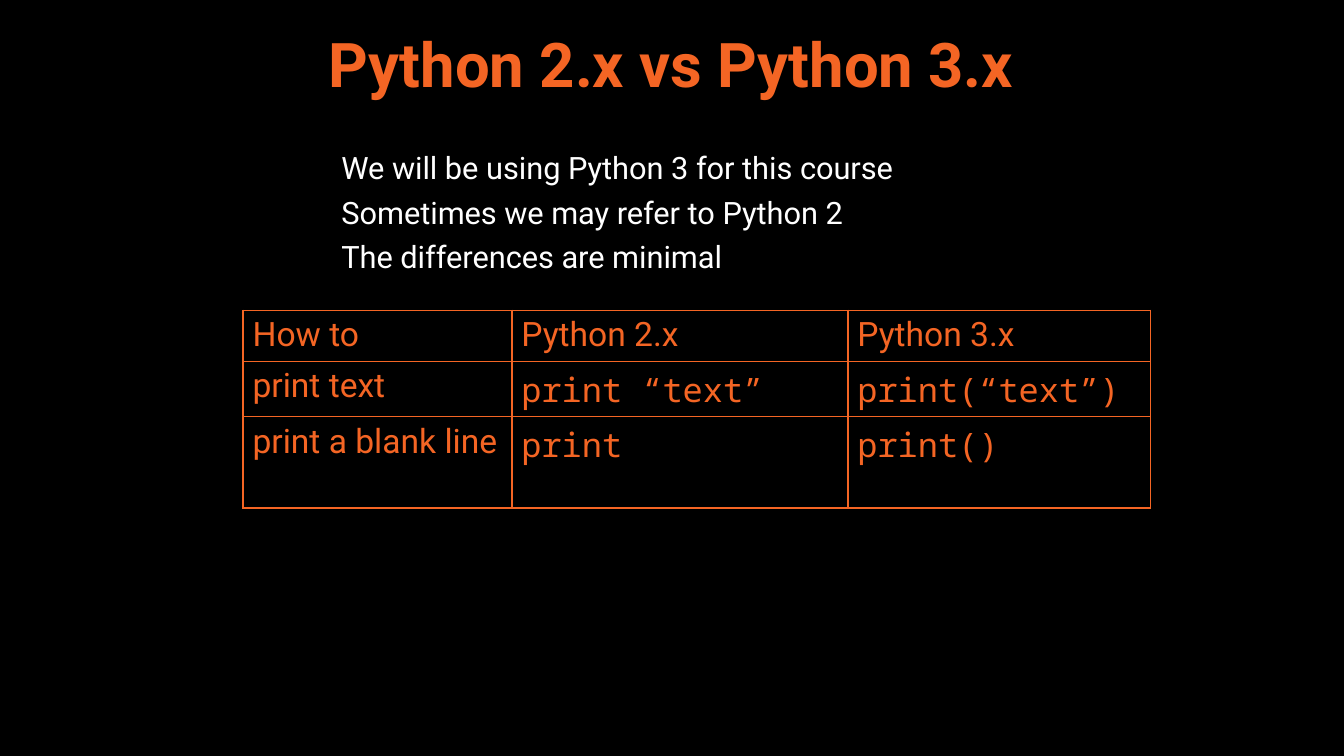
from lxml.etree import SubElement
from pptx import Presentation
from pptx.dml.color import RGBColor
from pptx.enum.text import MSO_ANCHOR as Anchor, PP_ALIGN as Align
from pptx.oxml.ns import qn
from pptx.util import Inches, Pt

ORANGE, WHITE, BLACK = "F46524", "FFFFFF", "000000"
SANS, MONO = "Roboto", "Noto Sans Mono"


def color(value):
    return RGBColor.from_string(value)


def write(frame, text, size=18, font=SANS, fill=ORANGE, bold=False, align=Align.LEFT, gap=0):
    """Fill a text frame with one paragraph per line of text."""
    frame.word_wrap = True
    for index, line in enumerate(text.split("\n")):
        para = frame.add_paragraph() if index else frame.paragraphs[0]
        para.alignment = align
        if index:
            para.space_before = Pt(gap)
        span = para.add_run()
        span.text = line
        span.font.size, span.font.name, span.font.bold = Pt(size), font, bold
        span.font.color.rgb = color(fill)


# Widescreen page, 16:9
deck = Presentation()
deck.slide_width, deck.slide_height = Inches(10), Inches(10 * 9 / 16)
page = deck.slides.add_slide(deck.slide_layouts[6])
page.background.fill.solid()
page.background.fill.fore_color.rgb = color(BLACK)

# Title
title = page.shapes.add_textbox(Inches(1.62), Inches(0), Inches(6.75), Inches(0.94))
title.text_frame.vertical_anchor = Anchor.MIDDLE
write(title.text_frame, "Python 2.x vs Python 3.x", size=33, bold=True, align=Align.CENTER)

# Introductory points
points = page.shapes.add_textbox(Inches(1.5), Inches(1.06), Inches(7.12), Inches(4.06))
points.text_frame.margin_left = Inches(1.04)
write(
    points.text_frame,
    "We will be using Python 3 for this course\n"
    "Sometimes we may refer to Python 2\n"
    "The differences are minimal",
    size=16.5, fill=WHITE, gap=4.1,
)

# Comparison table
rows = [
    ("How to", "Python 2.x", "Python 3.x"),
    ("print text", "print “text”", "print(“text”)"),
    ("print a blank line", "print", "print()"),
]
table = page.shapes.add_table(
    3, 3, Inches(1.81), Inches(2.31), Inches(6.75), Inches(1.47)
).table
table.first_row = table.horz_banding = False
for column, width in zip(table.columns, (2, 2.5, 2.25)):
    column.width = Inches(width)
for row, height in zip(table.rows, (0.38, 0.41, 0.68)):
    row.height = Inches(height)

for row_index, texts in enumerate(rows):
    for column_index, text in enumerate(texts):
        cell = table.cell(row_index, column_index)
        cell.margin_left = cell.margin_right = Inches(0.07)
        cell.margin_top = cell.margin_bottom = Inches(0.04)
        is_code = row_index > 0 and column_index > 0
        write(cell.text_frame, text, font=MONO if is_code else SANS)

        # Borders come before the fill in the cell properties
        properties = cell._tc.get_or_add_tcPr()
        for side in ("a:lnL", "a:lnR", "a:lnT", "a:lnB"):
            border = SubElement(properties, qn(side), w=str(Pt(1)))
            border_fill = SubElement(border, qn("a:solidFill"))
            SubElement(border_fill, qn("a:srgbClr"), val=ORANGE)
        cell.fill.background()

deck.save("out.pptx")
